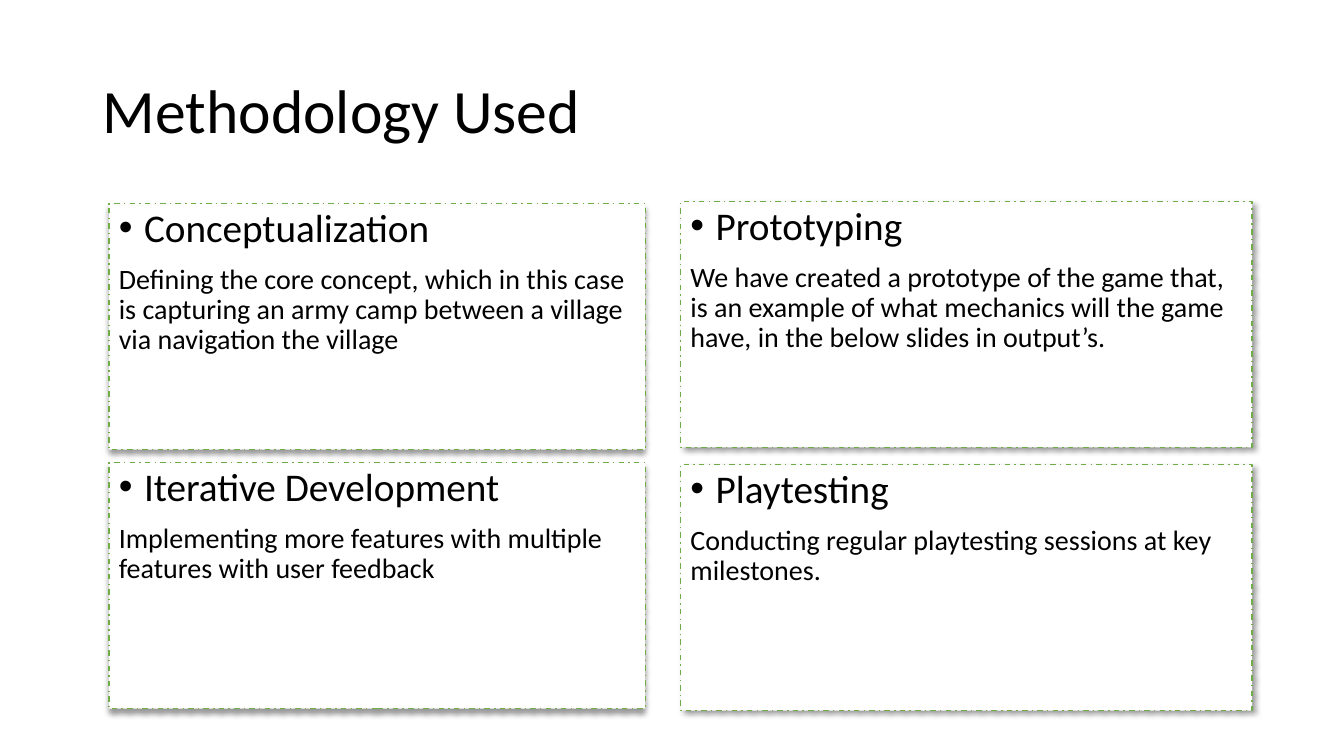
from lxml import etree
from pptx import Presentation
from pptx.dml.color import RGBColor
from pptx.enum.dml import MSO_LINE_DASH_STYLE as DASH
from pptx.enum.shapes import MSO_SHAPE as SHAPE
from pptx.enum.text import MSO_ANCHOR as ANCHOR, PP_ALIGN as ALIGN
from pptx.oxml import parse_xml
from pptx.oxml.ns import nsdecls, qn
from pptx.util import Inches, Pt

BLACK = RGBColor(0x00, 0x00, 0x00)
WHITE = RGBColor(0xFF, 0xFF, 0xFF)
GREEN = RGBColor(0x70, 0xAD, 0x47)
FONT = "Calibri"

CARD_HEIGHT = 2.44
# left, width and shadow angle of each column
LEFT_COLUMN = (1.08, 5.32, 90)
RIGHT_COLUMN = (6.75, 5.67, 45)

# column, top, heading, body
CARDS = [
    (LEFT_COLUMN, 4.59, "Iterative Development",
     "Implementing more features with multiple features with user feedback"),
    (RIGHT_COLUMN, 2.0, "Prototyping",
     "We have created a prototype of the game that, is an example of what "
     "mechanics will the game have, in the below slides in output’s."),
    (LEFT_COLUMN, 2.02, "Conceptualization",
     "Defining the core concept, which in this case is capturing an army camp "
     "between a village via navigation the village"),
    (RIGHT_COLUMN, 4.61, "Playtesting",
     "Conducting regular playtesting sessions at key milestones."),
]


def write(para, text, size):
    para.alignment = ALIGN.LEFT
    para.line_spacing = 0.9
    span = para.add_run()
    span.text = text
    span.font.name = FONT
    span.font.size = Pt(size)
    span.font.color.rgb = BLACK


def add_bullet(para):
    props = para._p.get_or_add_pPr()
    props.set("marL", str(Inches(0.25)))
    props.set("indent", str(Inches(-0.25)))
    etree.SubElement(props, qn("a:buFont")).set("typeface", "Arial")
    etree.SubElement(props, qn("a:buChar")).set("char", "•")


def add_shadow(shape, angle):
    """Give the shape a soft black shadow that falls at the angle in degrees."""
    shape.shadow.inherit = False
    effects = shape._element.spPr.find(qn("a:effectLst"))
    effects.append(parse_xml(
        f'<a:outerShdw {nsdecls("a")} blurRad="{Pt(4)}" dist="{Pt(3)}" '
        f'dir="{angle * 60000}" algn="t" rotWithShape="0">'
        f'<a:srgbClr val="{BLACK}"><a:alpha val="40000"/></a:srgbClr>'
        '</a:outerShdw>'))


def add_title(page, left, top, width, height, text):
    box = page.shapes.add_textbox(
        Inches(left), Inches(top), Inches(width), Inches(height))
    frame = box.text_frame
    frame.word_wrap = True
    frame.vertical_anchor = ANCHOR.MIDDLE
    write(frame.paragraphs[0], text, 44)


def add_card(page, column, top, heading, body):
    left, width, angle = column
    card = page.shapes.add_shape(
        SHAPE.RECTANGLE, Inches(left), Inches(top),
        Inches(width), Inches(CARD_HEIGHT))
    card.fill.solid()
    card.fill.fore_color.rgb = WHITE
    card.line.color.rgb = GREEN
    card.line.width = Pt(1)
    card.line.dash_style = DASH.DASH_DOT
    add_shadow(card, angle)

    frame = card.text_frame
    frame.word_wrap = True
    frame.vertical_anchor = ANCHOR.TOP
    heading_para, body_para = frame.paragraphs[0], frame.add_paragraph()
    write(heading_para, heading, 28)
    write(body_para, body, 20)
    for para in (heading_para, body_para):
        para.space_before = Pt(10)
    add_bullet(heading_para)


def main():
    deck = Presentation()
    deck.slide_width, deck.slide_height = Inches(13.33), Inches(7.5)
    page = deck.slides.add_slide(deck.slide_layouts[6])
    add_title(page, 0.92, 0.4, 11.5, 1.45, "Methodology Used")
    for card in CARDS:
        add_card(page, *card)
    deck.save("out.pptx")


if __name__ == "__main__":
    main()
